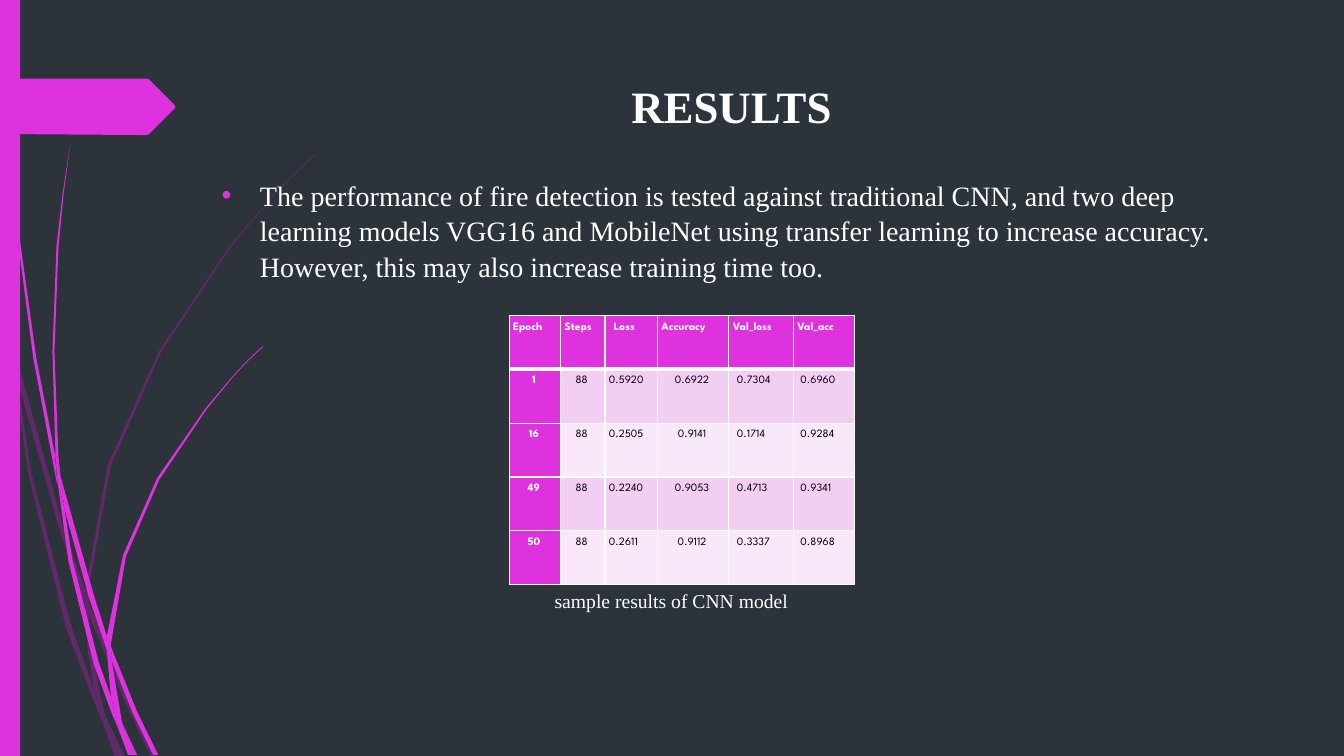
from pptx import Presentation, util as u
from pptx.dml.color import RGBColor
from pptx.enum import shapes, text
from pptx.oxml import parse_xml
from pptx.oxml.ns import nsdecls, qn

PX = 9144  # EMU in one px, 100 px to the inch
NIGHT, MAGENTA, PURPLE, WHITE, BLACK = "2C333A", "DE32DE", "B01CB0", "FFFFFF", "000000"
BANDS = ("F2CEF2", "F9E8F9")
SERIF, SPARTAN = "Times New Roman", "League Spartan"
ALIGN = text.PP_ALIGN

# Outlines of the decorative stalks: x,y pairs in px
PURPLE_STALKS = [
    "11,350 9,322 0,282 0,299 10,344",
    "58,522 84,599 85,586 62,520 14,345 17,376",
    "92,607 88,596 88,610 123,694 150,751 155,751 127,692",
    "119,751 124,751 105,711",
    "93,683 70,619 31,469 17,376 11,350 28,470 65,621 92,693 101,714 99,707",
    "84,599 87,646 93,683 96,692 105,711 103,706 91,646 88,610 88,608",
    "88,584 110,462 160,349 229,245 268,198 290,175 312,154 312,153 289,175 268,197 "
    "228,244 158,348 107,461 85,584 85,586 88,596",
    "101,714 114,751 119,751",
    "88,608 88,610 88,596 85,586 84,599",
    "96,692 93,683 99,707 101,714 119,751 105,711",
]
MAGENTA_STALKS = [
    "7,110 17,233 33,355 56,477 57,481 55,457 55,453 36,355 19,232 8,109 5,48 4,0 3,0 4,48",
    "88,592 106,645 106,633 106,631 93,590 60,472 64,505",
    "113,649 110,641 111,656 132,708 152,749 157,749 136,706",
    "110,691 98,657 72,556 64,505 57,477 68,557 93,659 111,708 117,722 116,717",
    "60,472 58,453 54,349 58,245 63,193 70,141 62,193 56,245 52,349 55,449",
    "133,749 136,749 122,719",
    "57,477 64,505 60,472 55,449 55,453",
    "111,633 125,552 158,476 205,406 231,374 245,359 261,344 260,344 245,358 231,373 "
    "204,405 156,474 122,551 106,631 110,641",
    "117,722 127,749 131,749",
    "106,645 110,691 116,706 122,719 121,716 111,656 109,651",
    "106,645 109,651 111,656 110,641 106,631 106,633",
    "116,706 110,691 116,717 117,722 130,749 133,749 122,719",
]
TITLE_TAG = "173,108 148,133 146,134 136,134 0,133 0,78 146,78 148,79 173,104 174,106"

# Results table
COLUMN_WIDTHS = [51, 44, 52, 71, 64, 61]
RESULTS = [
    ["Epoch", "Steps", "Loss", "Accuracy", "Val_loss", "Val_acc"],
    ["1", "88", "0.5920", "0.6922", "0.7304", "0.6960"],
    ["16", "88", "0.2505", "0.9141", "0.1714", "0.9284"],
    ["49", "88", "0.2240", "0.9053", "0.4713", "0.9341"],
    ["50", "88", "0.2611", "0.9112", "0.3337", "0.8968"],
]
# Alignment and left indent by column
HEADER_LAYOUT = [(ALIGN.JUSTIFY, 0)] * 2 + [(ALIGN.LEFT, 5)] + [(ALIGN.JUSTIFY, 0)] * 3
BODY_LAYOUT = [(ALIGN.CENTER, 0), (ALIGN.CENTER, 0), (ALIGN.JUSTIFY, 0),
               (ALIGN.CENTER, 0), (ALIGN.LEFT, 4), (ALIGN.LEFT, 3)]


def px(*lengths):
    return [u.Emu(length * PX) for length in lengths]


def paint(fill, color):
    fill.solid()
    fill.fore_color.rgb = RGBColor.from_string(color)


def finish_shape(shape, color, alpha=None):
    paint(shape.fill, color)
    shape.line.fill.background()
    shape.shadow.inherit = False
    if alpha:
        tint = shape.fill._xPr.find(".//" + qn("a:srgbClr"))
        tint.append(parse_xml(f'<a:alpha {nsdecls("a")} val="{alpha * 1000}"/>'))


def add_outline(slide, outline, color, alpha=None):
    points = [tuple(map(int, pair.split(","))) for pair in outline.split()]
    builder = slide.shapes.build_freeform(*points[0], scale=PX)
    builder.add_line_segments(points[1:], close=True)
    finish_shape(builder.convert_to_shape(), color, alpha)


def write(frame, words, size, font=SERIF, color=WHITE, bold=False,
          align=ALIGN.LEFT, spacing=1.0, indent=0, bullet=None):
    paragraph = frame.paragraphs[0]
    paragraph.alignment = align
    paragraph.line_spacing = spacing
    run = paragraph.add_run()
    run.text = words
    run.font.size = u.Pt(size)
    run.font.name = font
    run.font.bold = bold
    run.font.color.rgb = RGBColor.from_string(color)
    properties = paragraph._p.get_or_add_pPr()
    if indent:
        properties.set("marL", str(indent * PX))
    if bullet:
        properties.set("indent", str(-indent * PX))
        for xml in (f'<a:buClr {nsdecls("a")}><a:srgbClr val="{bullet}"/></a:buClr>',
                    f'<a:buFont {nsdecls("a")} typeface="Arial"/>',
                    f'<a:buChar {nsdecls("a")} char="•"/>'):
            properties.append(parse_xml(xml))


def add_text(slide, box, words, size, top_inset=5, **style):
    frame = slide.shapes.add_textbox(*px(*box)).text_frame
    frame.word_wrap = True
    frame.margin_top, = px(top_inset)
    write(frame, words, size, **style)


def set_borders(cell, **widths):
    properties = cell._tc.get_or_add_tcPr()
    for position, side in enumerate("LRTB"):
        properties.insert(position, parse_xml(
            f'<a:ln{side} {nsdecls("a")} w="{u.Pt(widths.get(side, 1))}"><a:solidFill>'
            f'<a:srgbClr val="{WHITE}"/></a:solidFill></a:ln{side}>'))


def add_results(slide, box):
    table = slide.shapes.add_table(len(RESULTS), len(COLUMN_WIDTHS), *px(*box)).table
    for column, width in zip(table.columns, px(*COLUMN_WIDTHS)):
        column.width = width
    for r, row in enumerate(RESULTS):
        layout = BODY_LAYOUT if r else HEADER_LAYOUT
        for c, value in enumerate(row):
            cell = table.cell(r, c)
            heading = r == 0 or c == 0
            paint(cell.fill, MAGENTA if heading else BANDS[(r - 1) % 2])
            (cell.margin_left, cell.margin_top,
             cell.margin_right, cell.margin_bottom) = px(4, 6, 6, 0)
            align, indent = layout[c]
            write(cell.text_frame, value, 8, font=SPARTAN, bold=heading, spacing=1.07,
                  color=WHITE if heading else BLACK, align=align, indent=indent)
            set_borders(cell, B=3 if r == 0 else 1, T=3 if r == 1 else 1)


def main():
    presentation = Presentation()
    presentation.slide_width, presentation.slide_height = px(1333, 750)
    slide = presentation.slides.add_slide(presentation.slide_layouts[6])
    paint(slide.background.fill, NIGHT)

    # Decoration on the left
    for outline in PURPLE_STALKS:
        add_outline(slide, outline, PURPLE, alpha=40)
    for outline in MAGENTA_STALKS:
        add_outline(slide, outline, MAGENTA)
    side_bar = slide.shapes.add_shape(shapes.MSO_SHAPE.RECTANGLE, *px(0, 0, 20, 750))
    finish_shape(side_bar, MAGENTA)
    add_outline(slide, TITLE_TAG, MAGENTA)

    # Title and finding
    add_text(slide, (193, 68, 1065, 78), "RESULTS", 32, top_inset=10,
             bold=True, align=ALIGN.CENTER)
    add_text(slide, (210, 170, 1048, 120),
             "The performance of fire detection is tested against traditional CNN, and two "
             "deep learning models VGG16 and MobileNet using transfer learning to increase "
             "accuracy. However, this may also increase training time too.",
             20, spacing=1.06, indent=38, bullet=MAGENTA)

    # Table with its caption
    add_results(slide, (505, 313, 343, 267))
    add_text(slide, (536, 579, 260, 33), "sample results of CNN model", 14,
             align=ALIGN.CENTER)

    presentation.save("out.pptx")


if __name__ == "__main__":
    main()
